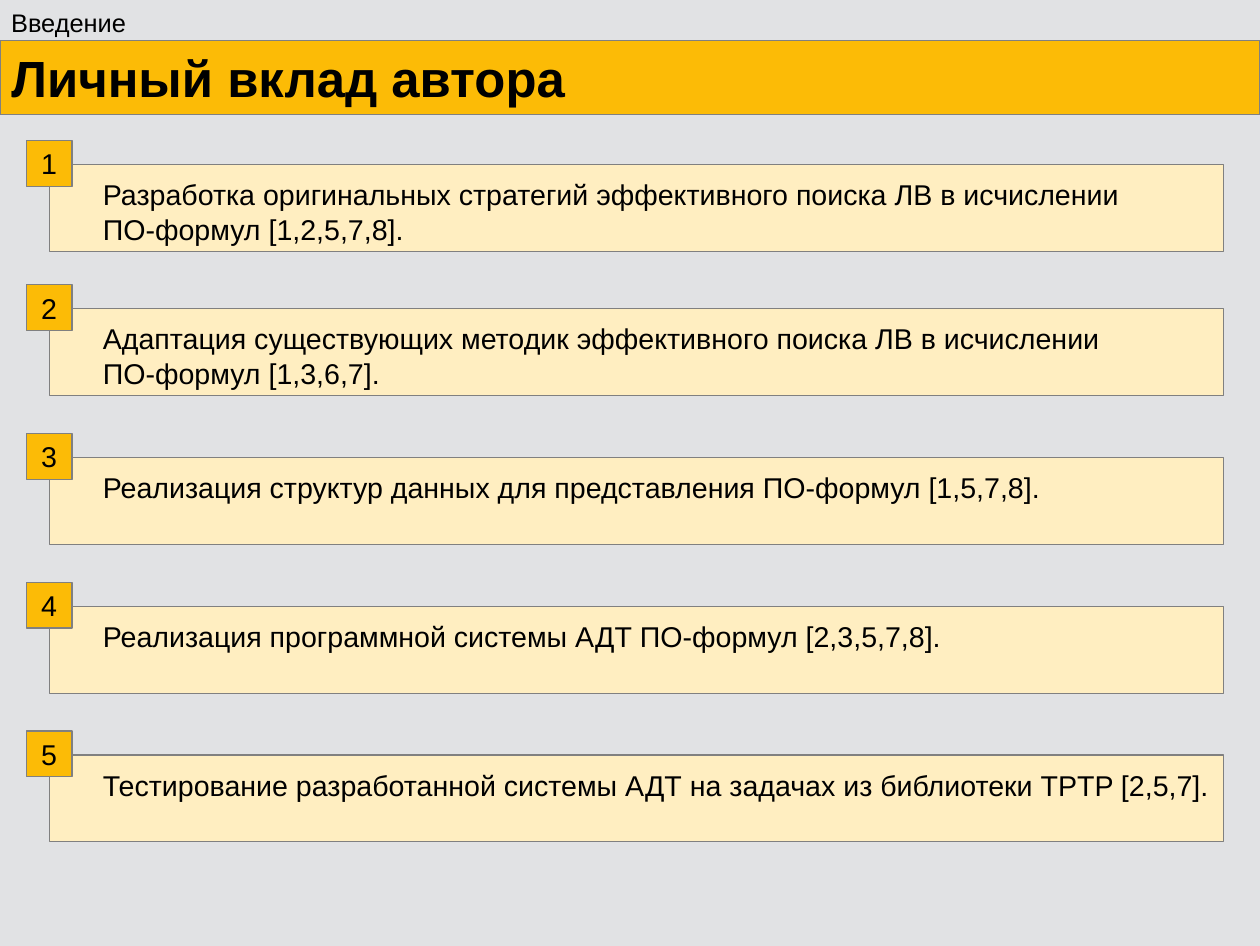
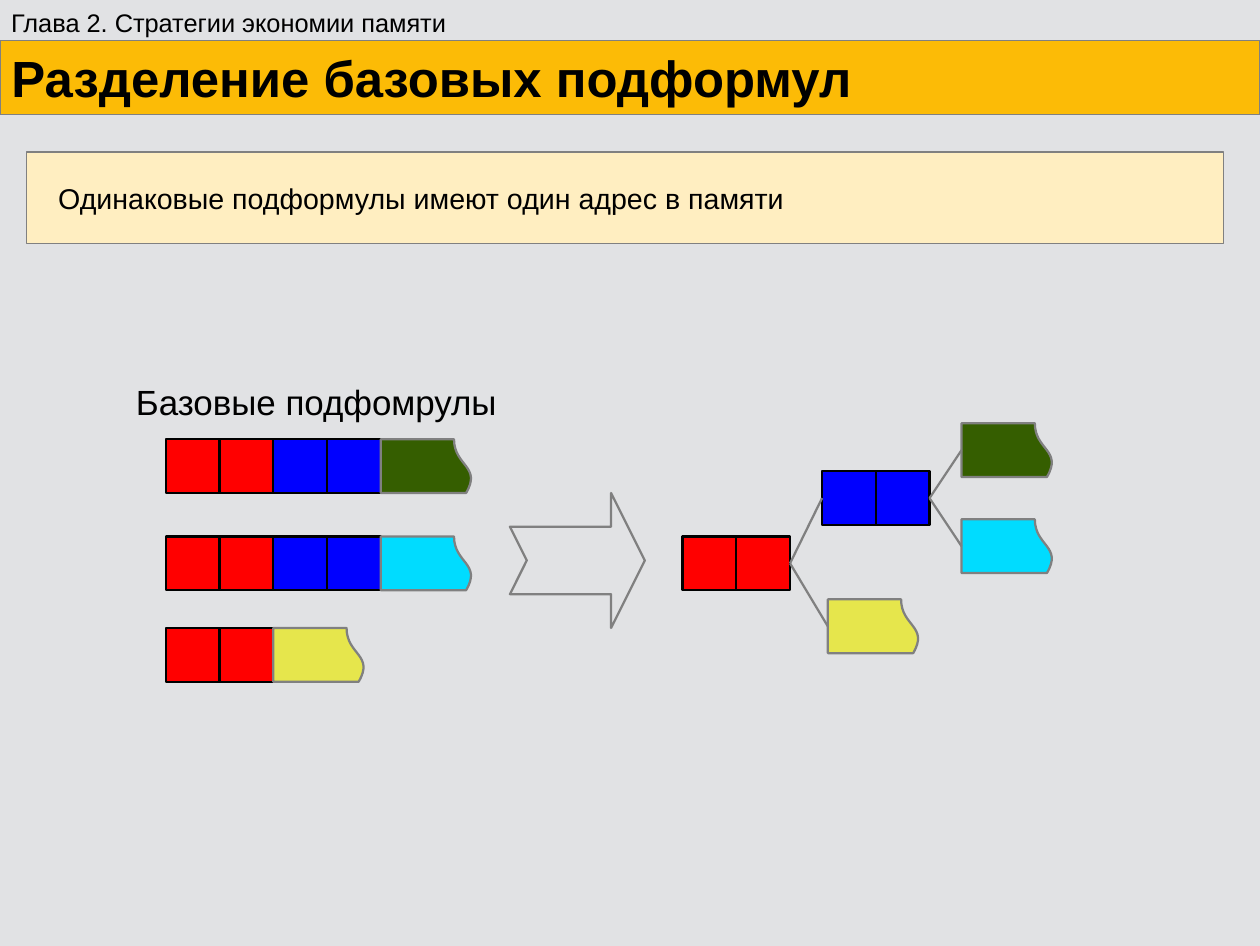
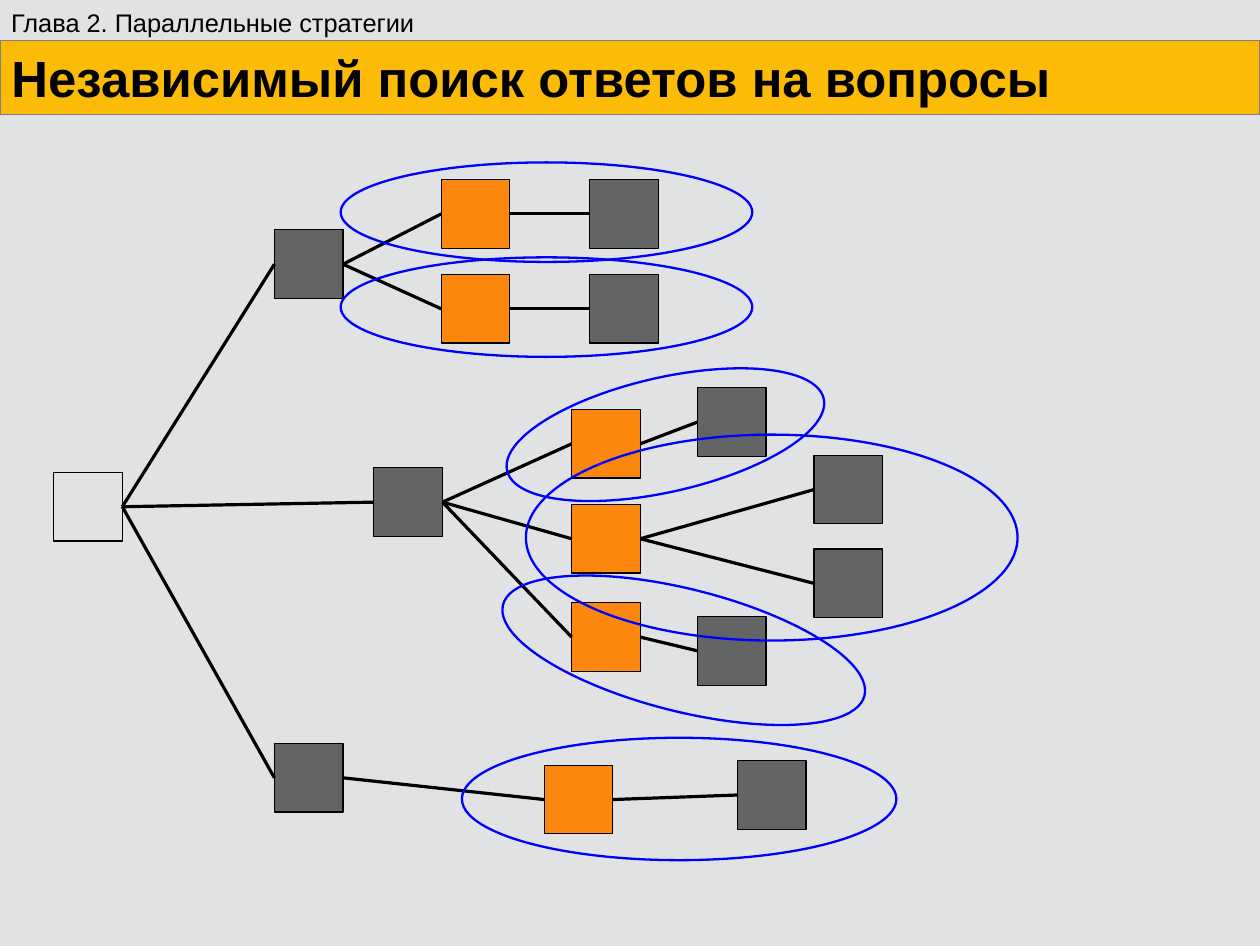
"""Build three slides on the search for inferences in a calculus of formulas."""
import pptx
import pptx.dml.color
import pptx.enum.shapes
import pptx.enum.text
import pptx.util
import lxml.etree

Inches = pptx.util.Inches
RGB = pptx.dml.color.RGBColor
KIND = pptx.enum.shapes.MSO_SHAPE
ALIGN = pptx.enum.text.PP_ALIGN
ANCHOR = pptx.enum.text.MSO_ANCHOR

BACK = RGB(0xE1, 0xE2, 0xE4)
GOLD = RGB(0xFC, 0xBB, 0x06)
CREAM = RGB(0xFF, 0xEE, 0xC1)
GRAY = RGB(0x80, 0x80, 0x80)
SLATE = RGB(0x63, 0x64, 0x66)
AMBER = RGB(0xFB, 0x87, 0x0E)
BLACK = RGB(0, 0, 0)
RED = RGB(0xFF, 0, 0)
BLUE = RGB(0, 0, 0xFF)
GREEN = RGB(0x35, 0x5E, 0)
CYAN = RGB(0, 0xDC, 0xFF)
LIME = RGB(0xE6, 0xE6, 0x4C)
FONT = "Arial"


def write(frame, text, size=18, bold=False, align=ALIGN.LEFT,
          anchor=ANCHOR.TOP, left=0.1, top=0.05, right=0.1):
    frame.word_wrap = True
    frame.auto_size = pptx.enum.text.MSO_AUTO_SIZE.NONE
    frame.vertical_anchor = anchor
    frame.margin_left, frame.margin_right = Inches(left), Inches(right)
    frame.margin_top, frame.margin_bottom = Inches(top), Inches(0.05)
    frame.text = text
    for para in frame.paragraphs:
        para.alignment = align
        para.font.name = FONT
        para.font.size = pptx.util.Pt(size)
        para.font.bold = bold
        para.font.color.rgb = BLACK


def draw(slide, kind, box, fill=None, line=GRAY, width=0, turn=0):
    shape = slide.shapes.add_shape(kind, *map(Inches, box))
    shape.shadow.inherit = False
    if fill is None:
        shape.fill.background()
    else:
        shape.fill.solid()
        shape.fill.fore_color.rgb = fill
    shape.line.color.rgb = line
    shape.line.width = pptx.util.Pt(width)
    shape.rotation = turn
    return shape


deck = pptx.Presentation()
deck.slide_width, deck.slide_height = Inches(11.02), Inches(8.27)
ground = deck.slide_master.background.fill
ground.solid()
ground.fore_color.rgb = BACK

heads = [
    ("Введение", "Личный вклад автора"),
    ("Глава 2. Стратегии экономии памяти", "Разделение базовых подформул"),
    ("Глава 2. Параллельные стратегии", "Независимый поиск ответов на вопросы"),
]
for part, name in heads:
    slide = deck.slides.add_slide(deck.slide_layouts[5])
    title = slide.shapes.title
    title.left, title.top = Inches(0), Inches(0.35)
    title.width, title.height = Inches(11.02), Inches(0.65)
    title.fill.solid()
    title.fill.fore_color.rgb = GOLD
    title.line.color.rgb = GRAY
    title.line.width = pptx.util.Pt(0)
    write(title.text_frame, name, size=32, bold=True, anchor=ANCHOR.MIDDLE)
    label = slide.shapes.add_textbox(Inches(0), Inches(0.01), Inches(6), Inches(0.35))
    write(label.text_frame, part, size=16)
intro, share, search = deck.slides

tasks = [
    (1.44, "Разработка оригинальных стратегий эффективного поиска ЛВ в исчислении\n"
           "ПО-формул [1,2,5,7,8]."),
    (2.7, "Адаптация существующих методик эффективного поиска ЛВ в исчислении\n"
          "ПО-формул [1,3,6,7]."),
    (4, "Реализация структур данных для представления ПО-формул [1,5,7,8]."),
    (5.3, "Реализация программной системы АДТ ПО-формул [2,3,5,7,8]."),
    (6.6, "Тестирование разработанной системы АДТ на задачах из библиотеки TPTP [2,5,7]."),
]
for count, (top, text) in enumerate(tasks, 1):
    card = draw(intro, KIND.RECTANGLE, (0.43, top, 10.27, 0.76), CREAM)
    write(card.text_frame, text, left=0.47, top=0.11, right=0)
    badge = draw(intro, KIND.RECTANGLE, (0.23, top - 0.21, 0.4, 0.4), GOLD)
    write(badge.text_frame, str(count), align=ALIGN.CENTER,
          anchor=ANCHOR.MIDDLE, left=0, right=0)

card = draw(share, KIND.RECTANGLE, (0.23, 1.33, 10.47, 0.8), CREAM)
write(card.text_frame, "Одинаковые подформулы имеют один адрес в памяти",
      anchor=ANCHOR.MIDDLE, left=0.28)
label = share.shapes.add_textbox(Inches(1.08), Inches(3.27), Inches(3.76), Inches(0.61))
write(label.text_frame, "Базовые подфомрулы", size=22, left=0.11, top=0.06)

CELL, TAIL = 0.47, 0.8
SHIFT = (TAIL - CELL) / 2
rows = [
    (1.45, 3.84, [RED, RED, BLUE, BLUE], GREEN),
    (1.45, 4.69, [RED, RED, BLUE, BLUE], CYAN),
    (1.45, 5.49, [RED, RED], LIME),
    (5.97, 4.69, [RED, RED], None),
    (7.19, 4.12, [BLUE, BLUE], None),
    (8.41, 3.7, [], GREEN),
    (8.41, 4.54, [], CYAN),
    (7.24, 5.24, [], LIME),
]
chains = []
for left, top, cells, tail in rows:
    chain = []
    for step, fill in enumerate(cells):
        chain.append(draw(share, KIND.RECTANGLE, (left + step * CELL, top, CELL, CELL),
                          fill, BLACK, 1.42))
    if tail is not None:
        start = left + len(cells) * CELL
        chain.append(draw(share, KIND.FLOWCHART_DOCUMENT,
                          (start + SHIFT, top - SHIFT, CELL, TAIL), tail, GRAY, 1.42, 270))
    chains.append(chain)
arrow = draw(share, KIND.NOTCHED_RIGHT_ARROW, (4.46, 4.31, 1.18, 1.18), width=1.42)
arrow.adjustments[1] = 0.25

NODE = 0.6
spots = [
    (0.47, 4.13, None), (2.4, 2.01, SLATE), (3.27, 4.09, SLATE), (2.4, 6.5, SLATE),
    (3.86, 1.57, AMBER), (3.86, 2.4, AMBER), (5, 3.58, AMBER), (5, 4.41, AMBER),
    (5, 5.27, AMBER), (4.76, 6.69, AMBER), (5.16, 1.57, SLATE), (5.16, 2.4, SLATE),
    (6.1, 3.39, SLATE), (7.12, 3.98, SLATE), (7.12, 4.8, SLATE), (6.1, 5.39, SLATE),
    (6.45, 6.65, SLATE),
]
nodes = [draw(search, KIND.RECTANGLE, (left, top, NODE, NODE), fill, BLACK)
         for left, top, fill in spots]

forks = {3: [4, 7], 4: [5, 6]}
tree = {0: [1, 2, 3], 1: [4, 5], 2: [6, 7, 8], 3: [9], 4: [10], 5: [11],
        6: [12], 7: [13, 14], 8: [15], 9: [16]}
wires = [(share, chains[head][-1], chains[end][0], GRAY, 1.42)
         for head, ends in forks.items() for end in ends]
wires += [(search, nodes[head], nodes[end], BLACK, 0)
          for head, ends in tree.items() for end in ends]
for slide, head, end, color, width in wires:
    span = end.height if end.rotation else end.width
    wire = slide.shapes.add_connector(
        pptx.enum.shapes.MSO_CONNECTOR.STRAIGHT,
        head.left + head.width, head.top + head.height // 2,
        end.left + (end.width - span) // 2, end.top + end.height // 2)
    wire.begin_connect(head, 3)
    if not end.rotation:
        wire.end_connect(end, 1)
    wire.line.color.rgb = color
    wire.line.width = pptx.util.Pt(width)
    lxml.etree.SubElement(wire._element.spPr, pptx.oxml.ns.qn("a:effectLst"))

ovals = [
    (2.98, 1.42, 3.6, 0.87, 0), (2.98, 2.25, 3.6, 0.87, 0), (4.04, 6.45, 3.8, 1.07, 0),
    (4.4, 3.3, 2.84, 1, 347.2), (4.6, 3.8, 4.3, 1.8, 0), (4.35, 5.15, 3.26, 1.07, 14.1),
]
for *box, turn in ovals:
    draw(search, KIND.OVAL, box, line=BLUE, width=1.45, turn=turn)

deck.save("out.pptx")
